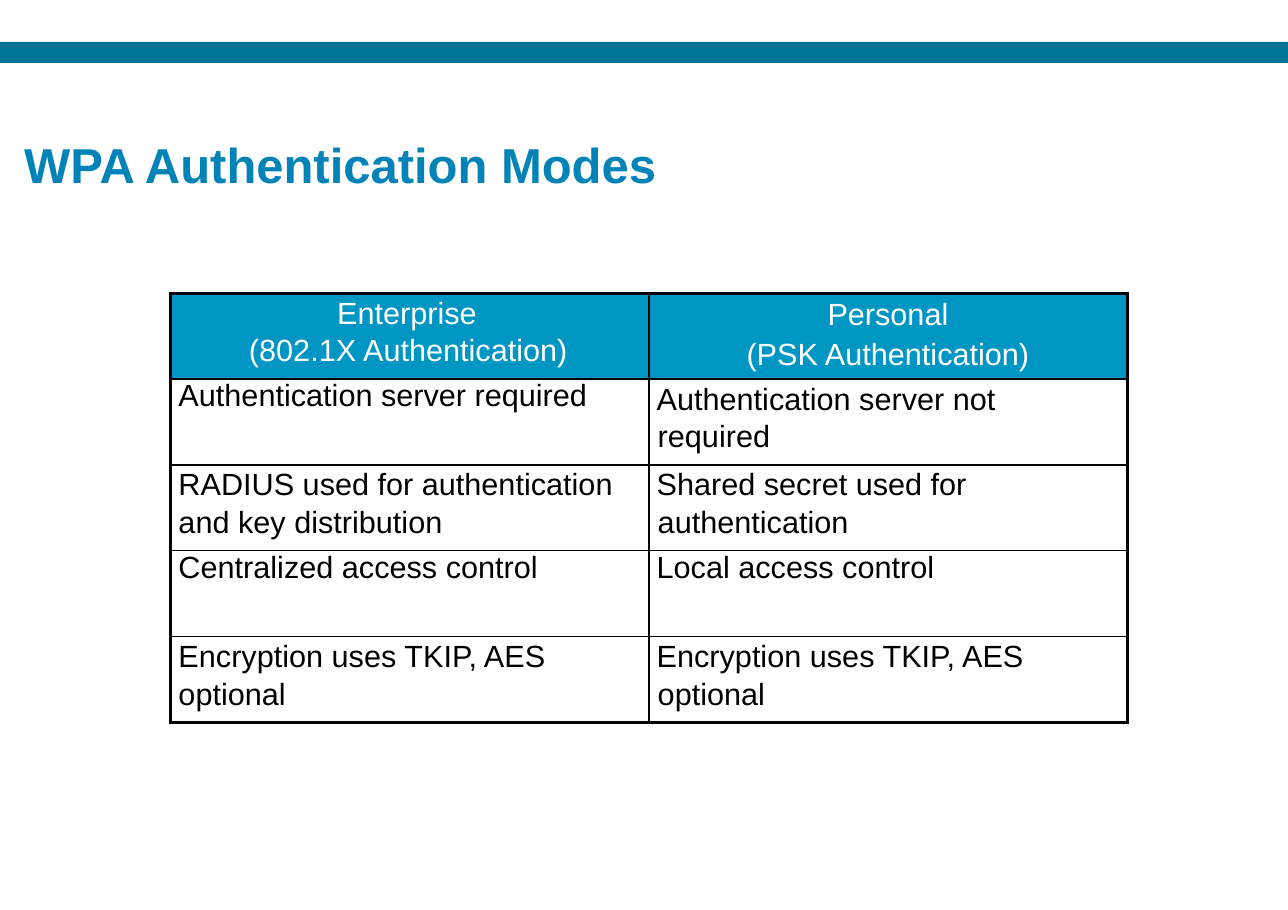
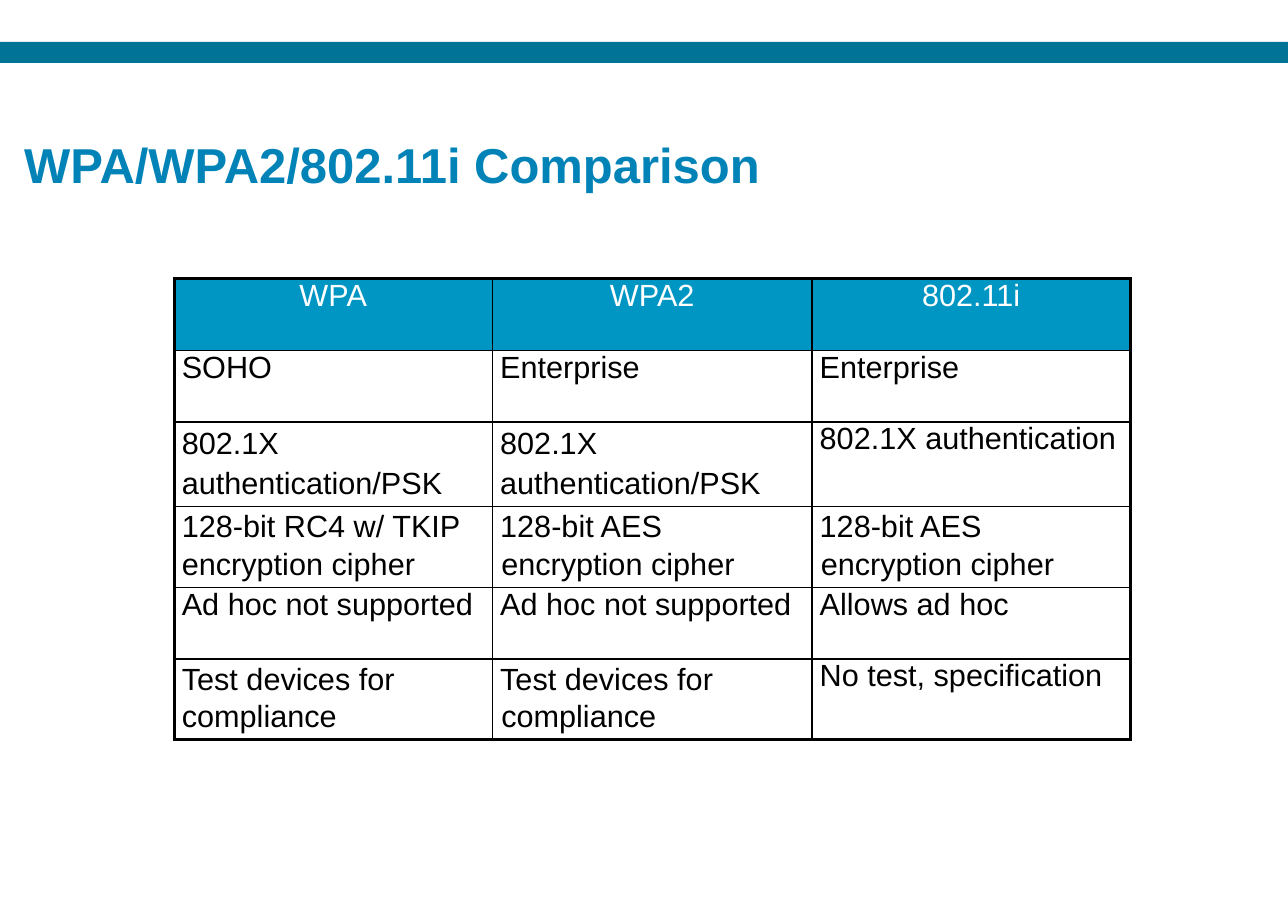
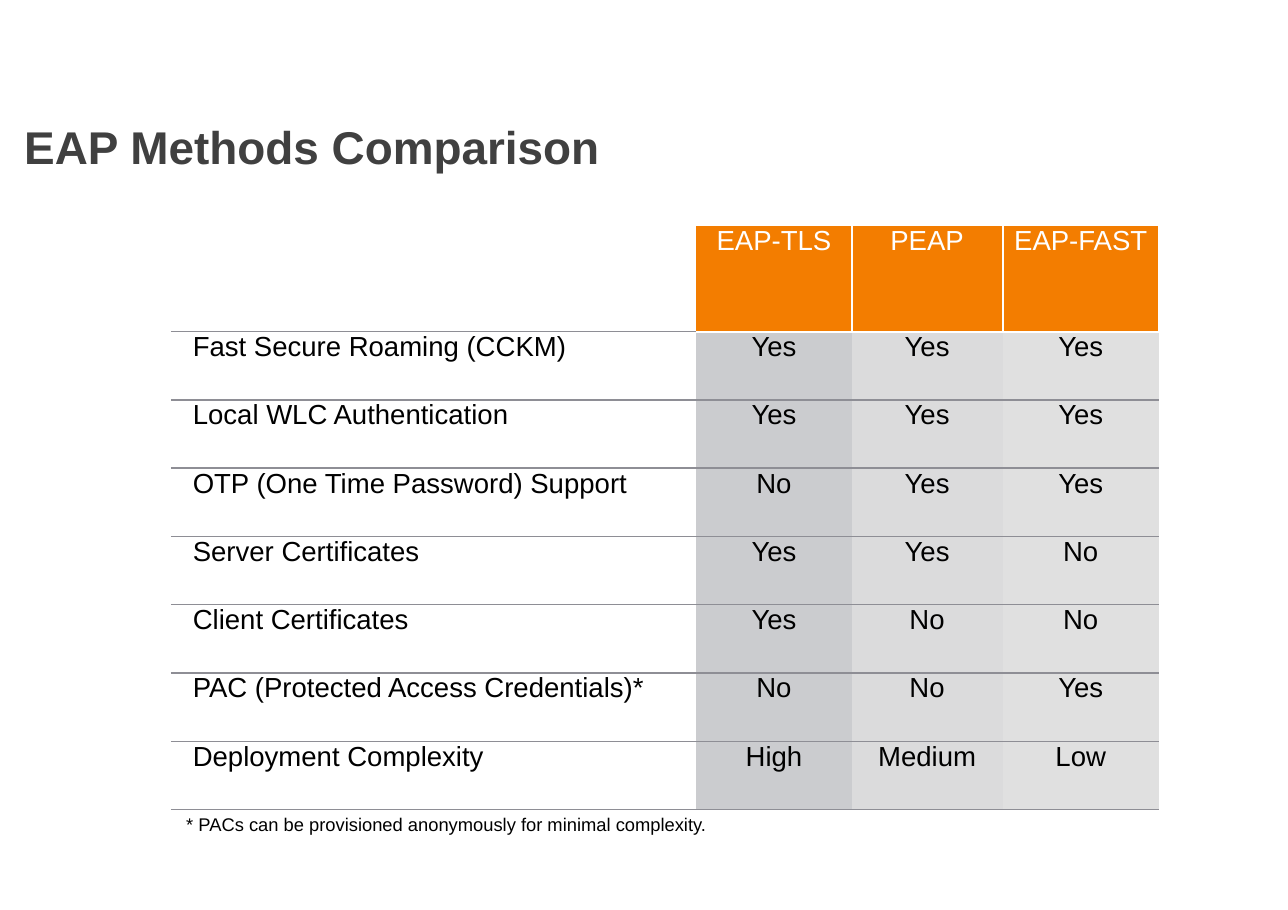
import pptx
import pptx.util
import pptx.dml.color
import pptx.enum.shapes
import pptx.enum.text
import pptx.oxml.ns
from lxml import etree

Inches = pptx.util.Inches
ALIGN = pptx.enum.text.PP_ALIGN
FONT = "Arial"
WIDE, HIGH = 11.69, 8.26
PLAIN = "{2D5ABB26-0587-4C30-8999-92F81FD0307C}"
HUES = {
    "band": "007397", "title": "0183B7", "head": "0096C4",
    "dark": "404040", "black": "000000", "white": "FFFFFF",
    "orange": "F37D00", "rule": "8E8E95",
    "gray1": "CBCCCF", "gray2": "DBDBDC", "gray3": "E0E0E0",
}

MODES = [
    ["Enterprise (802.1X Authentication)", "Personal\n(PSK Authentication)"],
    ["Authentication server required", "Authentication server not required"],
    ["RADIUS used for authentication and key distribution",
     "Shared secret used for authentication"],
    ["Centralized access control", "Local access control"],
    ["Encryption uses TKIP, AES optional"] * 2,
]
WPA = [
    ["WPA", "WPA2", "802.11i"],
    ["SOHO", "Enterprise", "Enterprise"],
    ["802.1X\nauthentication/PSK", "802.1X\nauthentication/PSK",
     "802.1X authentication"],
    ["128-bit RC4 w/ TKIP encryption cipher",
     "128-bit AES encryption cipher", "128-bit AES encryption cipher"],
    ["Ad hoc not supported", "Ad hoc not supported", "Allows ad hoc"],
    ["Test devices for compliance", "Test devices for compliance",
     "No test, specification"],
]
EAP = [
    ["", "EAP-TLS", "PEAP", "EAP-FAST"],
    ["Fast Secure Roaming (CCKM)", "Yes", "Yes", "Yes"],
    ["Local WLC Authentication", "Yes", "Yes", "Yes"],
    ["OTP (One Time Password) Support", "No", "Yes", "Yes"],
    ["Server Certificates", "Yes", "Yes", "No"],
    ["Client Certificates", "Yes", "No", "No"],
    ["PAC (Protected Access Credentials)*", "No", "No", "Yes"],
    ["Deployment Complexity", "High", "Medium", "Low"],
]


def rgb(hue):
    return pptx.dml.color.RGBColor.from_string(HUES[hue])


def style(frame, size, hue, bold=False, align=ALIGN.LEFT, lead=None):
    for para in frame.paragraphs:
        para.alignment = align
        para.line_spacing = lead
        for run in para.runs:
            run.font.name = FONT
            run.font.size = pptx.util.Pt(size)
            run.font.bold = bold
            run.font.color.rgb = rgb(hue)


def indent(frame, left, first=0, right=0):
    for para in frame.paragraphs:
        props = para._p.get_or_add_pPr()
        for key, size in (("marL", left), ("marR", right), ("indent", first)):
            props.set(key, str(Inches(size)))


def label(slide, box, text, size, hue, bold=False, top=0):
    frame = slide.shapes.add_textbox(*map(Inches, box)).text_frame
    frame.word_wrap = True
    frame.margin_left = frame.margin_right = frame.margin_bottom = 0
    frame.margin_top = Inches(top)
    frame.text = text
    style(frame, size, hue, bold)


def title(slide, text, size=32, hue="title", top=0.41):
    label(slide, (0.22, 0.81, 11.25, 0.93), text, size, hue, True, top)


def band(slide):
    bar = slide.shapes.add_shape(
        pptx.enum.shapes.MSO_SHAPE.RECTANGLE,
        0, Inches(0.38), Inches(WIDE), Inches(0.19))
    bar.shadow.inherit = False
    bar.fill.solid()
    bar.fill.fore_color.rgb = rgb("band")
    bar.line.fill.background()


def edges(cell, lines):
    props = cell._tc.get_or_add_tcPr()
    for side in "LRTB":
        line = etree.SubElement(props, pptx.oxml.ns.qn("a:ln" + side))
        if side not in lines:
            line.set("w", "0")
            etree.SubElement(line, pptx.oxml.ns.qn("a:noFill"))
            continue
        hue, width = lines[side]
        line.set("w", str(pptx.util.Pt(width)))
        fill = etree.SubElement(line, pptx.oxml.ns.qn("a:solidFill"))
        etree.SubElement(fill, pptx.oxml.ns.qn("a:srgbClr"), val=HUES[hue])


def paint(cell, text, lines, fill=None):
    cell.margin_left = cell.margin_right = 0
    cell.margin_top = cell.margin_bottom = 0
    cell.text_frame.text = text
    edges(cell, lines)
    if fill:
        cell.fill.solid()
        cell.fill.fore_color.rgb = rgb(fill)
    else:
        cell.fill.background()


def grid(slide, spot, cols, rows):
    left, top = spot
    table = slide.shapes.add_table(
        len(rows), len(cols), Inches(left), Inches(top),
        Inches(sum(cols)), Inches(sum(rows))).table
    table.first_row = table.horz_banding = False
    table._tbl.tblPr[0].text = PLAIN
    for col, width in zip(table.columns, cols):
        col.width = Inches(width)
    for row, height in zip(table.rows, rows):
        row.height = Inches(height)
    return table


def boxed(slide, spot, cols, rows, data, limit):
    table = grid(slide, spot, cols, rows)
    ends = len(rows) - 1, len(cols) - 1
    for r, texts in enumerate(data):
        for c, text in enumerate(texts):
            outer = {"L": c == 0, "R": c == ends[1],
                     "T": r == 0, "B": r == ends[0]}
            lines = {side: ("black", 2.25 if out else 1)
                     for side, out in outer.items()}
            cell = table.cell(r, c)
            head, wraps = r == 0, len(text) > limit
            paint(cell, text, lines, "head" if head else None)
            frame = cell.text_frame
            lead = 1.15 if "\n" in text else 1.1 if wraps else None
            align = ALIGN.CENTER if head and not wraps else ALIGN.LEFT
            style(frame, 20, "white" if head else "black", False, align, lead)
            if head and wraps:
                indent(frame, 0.71, 0.8, 0.62)
            elif not head:
                indent(frame, 0.08 if c else 0.07, -0.01 if c else 0,
                       0.2 if wraps else 0)


def ruled(slide, spot, cols, rows, data):
    table = grid(slide, spot, cols, rows)
    gray, white = ("rule", 1), ("white", 1.5)
    for r, texts in enumerate(data):
        for c, text in enumerate(texts):
            head = r == 0
            if head and c:
                lines, fill = {"R": white, "B": white}, "orange"
                if c > 1:
                    lines["L"] = white
            elif head:
                lines, fill = {"B": gray}, None
            else:
                lines = {"T": white if r == 1 and c else gray, "B": gray}
                fill = f"gray{c}" if c else None
            cell = table.cell(r, c)
            paint(cell, text, lines, fill)
            style(cell.text_frame, 18, "white" if head else "black",
                  False, ALIGN.CENTER if c else ALIGN.LEFT)
            if not c:
                indent(cell.text_frame, 0.2)


def modes(slide):
    band(slide)
    title(slide, "WPA Authentication Modes")
    boxed(slide, (1.55, 2.66), [4.34] * 2, [0.78] * 5, MODES, 30)


def wpa(slide):
    band(slide)
    title(slide, "WPA/WPA2/802.11i Comparison")
    rows = [0.65, 0.65, 0.72, 0.72, 0.65, 0.72]
    boxed(slide, (1.58, 2.53), [2.89, 2.9, 2.89], rows, WPA, 24)


def eap(slide):
    title(slide, "EAP Methods Comparison", 30, "dark", 0.27)
    label(slide, (1.69, 7.38, 4.75, 0.21),
          "* PACs can be provisioned anonymously for minimal complexity.",
          12, "black")
    cols = [4.77, 1.41, 1.37, 1.42]
    ruled(slide, (1.55, 2.05), cols, [0.96] + [0.62] * 7, EAP)


def main():
    deck = pptx.Presentation()
    deck.slide_width, deck.slide_height = Inches(WIDE), Inches(HIGH)
    for build in (modes, wpa, eap):
        build(deck.slides.add_slide(deck.slide_layouts[6]))
    deck.save("out.pptx")


if __name__ == "__main__":
    main()
